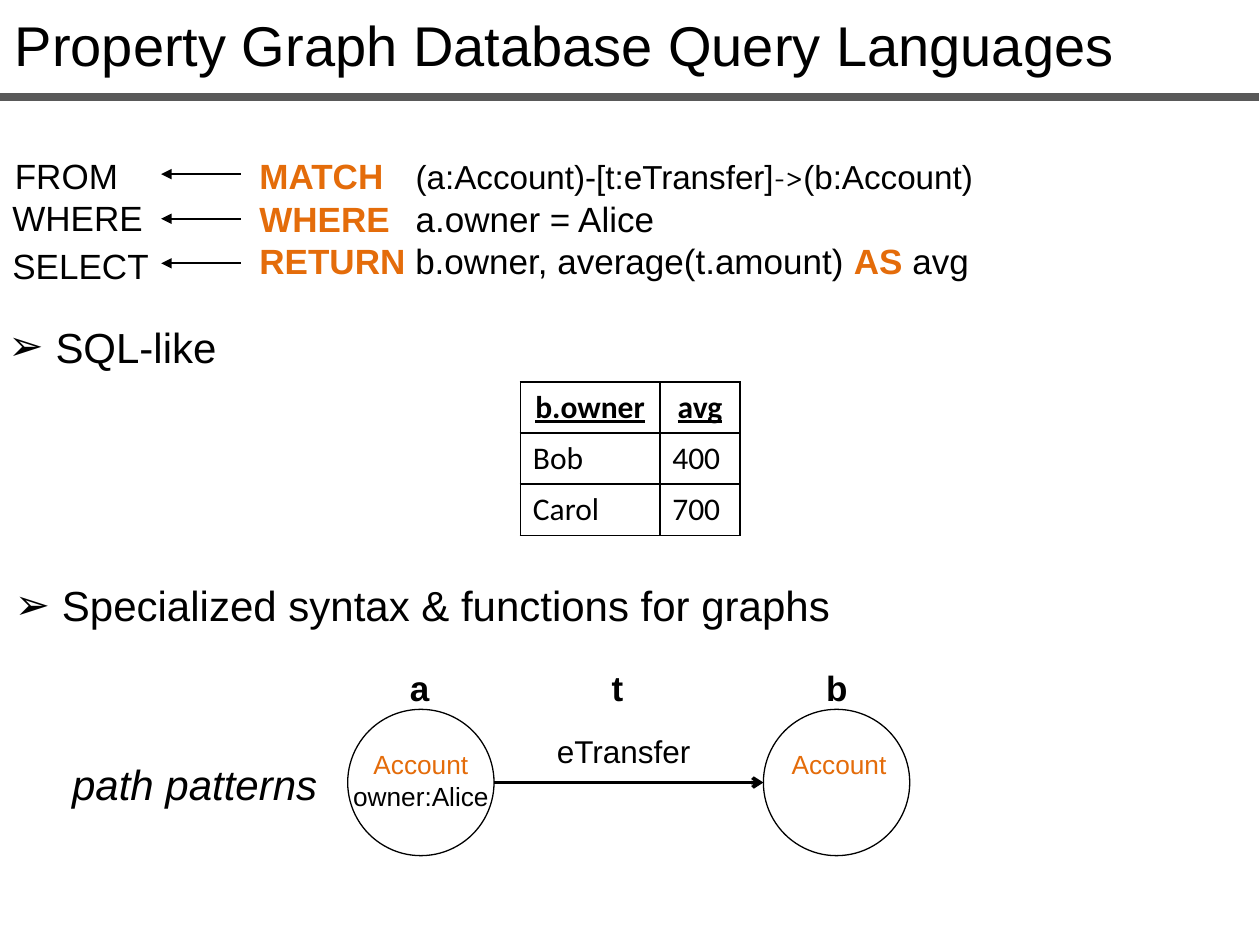
from dataclasses import dataclass
from typing import NamedTuple

from lxml import etree
from pptx import Presentation
from pptx.dml.color import RGBColor
from pptx.enum import shapes, text
from pptx.oxml import ns
from pptx.util import Cm, Pt


@dataclass(frozen=True)
class Theme:
    black: str = "000000"
    white: str = "FFFFFF"
    accent: str = "E46C0A"
    rule: str = "595959"
    font: str = "Arial"
    symbol_font: str = "Cambria"
    table_font: str = "Calibri"
    title: float = 32
    body: float = 24
    code: float = 20
    pattern: float = 19
    small: float = 18
    node: float = 15


THEME = Theme()


class Box(NamedTuple):
    left: float
    top: float
    width: float
    height: float


class Run(NamedTuple):
    words: str
    size: float
    color: str = THEME.black
    bold: bool = False
    italic: bool = False
    underline: bool = False
    font: str = THEME.font


class Label(NamedTuple):
    box: Box
    lines: list[list[Run]]
    centered: bool = False
    bullet: str = ""
    tab: float = 0


class Line(NamedTuple):
    x1: float
    y1: float
    x2: float
    y2: float
    width: float
    color: str = THEME.black
    head: str = ""


def sub(parent, tag: str, **attrs):
    return etree.SubElement(parent, ns.qn(tag), attrs)


def add_runs(p, runs: list[Run]) -> None:
    for run in runs:
        r = p.add_run()
        r.text = run.words
        formats = {"name": run.font, "size": Pt(run.size), "bold": run.bold,
                   "italic": run.italic, "underline": run.underline}
        for name, value in formats.items():
            setattr(r.font, name, value)
        r.font.color.rgb = RGBColor.from_string(run.color)


def add_label(canvas, label: Label) -> None:
    tf = canvas.add_textbox(*map(Cm, label.box)).text_frame
    tf.word_wrap = True
    tf.auto_size = text.MSO_AUTO_SIZE.SHAPE_TO_FIT_TEXT
    for i, runs in enumerate(label.lines):
        p = tf.add_paragraph() if i else tf.paragraphs[0]
        pPr = p._p.get_or_add_pPr()
        if label.bullet:
            pPr.set("marL", str(Cm(0.95)))
            pPr.set("indent", str(-Cm(0.95)))
            sub(pPr, "a:buFont", typeface=THEME.font)
            sub(pPr, "a:buChar", char=label.bullet)
            p.line_spacing = 1.5
        if label.tab:
            sub(sub(pPr, "a:tabLst"), "a:tab", pos=str(Cm(label.tab)), algn="l")
        if label.centered:
            p.alignment = text.PP_ALIGN.CENTER
        add_runs(p, runs)


def add_line(canvas, line: Line) -> None:
    ends = map(Cm, (line.x1, line.y1, line.x2, line.y2))
    c = canvas.add_connector(shapes.MSO_CONNECTOR.STRAIGHT, *ends)
    c.line.width = Pt(line.width)
    c.line.color.rgb = RGBColor.from_string(line.color)
    if line.head:
        sub(c.line._get_or_add_ln(), "a:tailEnd", type=line.head)
    sub(c._element.spPr, "a:effectLst")


def add_circle(canvas, left: float, top: float, size: float) -> None:
    sp = canvas.add_shape(shapes.MSO_SHAPE.OVAL, *map(Cm, (left, top, size, size)))
    sp.shadow.inherit = False
    sp.fill.solid()
    sp.fill.fore_color.rgb = RGBColor.from_string(THEME.white)
    sp.line.color.rgb = RGBColor.from_string(THEME.black)
    sp.line.width = Pt(0.75)


def add_result_table(canvas, rows: list[list[str]], box: Box, widths: list[float]) -> None:
    """Draw a plain bordered table with an underlined header row."""
    table = canvas.add_table(len(rows), len(widths), *map(Cm, box)).table
    table.horz_banding = False
    for col, width in zip(table.columns, widths):
        col.width = Cm(width)
    for i, row in enumerate(rows):
        header = i == 0
        for j, words in enumerate(row):
            cell = table.cell(i, j)
            tcPr = cell._tc.get_or_add_tcPr()
            for side in ("a:lnL", "a:lnR", "a:lnT", "a:lnB"):
                ln = sub(tcPr, side, w=str(Pt(1)))
                sub(sub(ln, "a:solidFill"), "a:srgbClr", val=THEME.black)
            cell.fill.background()
            p = cell.text_frame.paragraphs[0]
            if header:
                p.alignment = text.PP_ALIGN.CENTER
            add_runs(p, [Run(words, THEME.small, bold=header, underline=header,
                             font=THEME.table_font)])


def code(words: str) -> Run:
    return Run(words, THEME.code)


def keyword(words: str) -> Run:
    return Run(words, THEME.code, THEME.accent, bold=True)


def add_graph(canvas) -> None:
    """Draw two account nodes joined by a transfer edge."""
    size, top, a_left, b_left = 2.95, 14.3, 7.01, 15.39
    middle = top + size / 2
    account = [Run("Account", THEME.node, THEME.accent)]
    owner = [Run("owner:Alice", THEME.node)]
    for left in (a_left, b_left):
        add_circle(canvas, left, top, size)
    add_line(canvas, Line(a_left + size, middle, b_left, middle, 2, head="arrow"))
    add_label(canvas, Label(Box(6.68, 14.96, 3.61, 1.55), [account, owner], True))
    add_label(canvas, Label(Box(15.11, 14.96, 3.61, 0.89), [account], True))
    add_label(canvas, Label(Box(10.44, 14.63, 4.27, 1.02),
                            [[Run("eTransfer", THEME.small)]], True))
    for name, left in (("a", 7.01), ("t", 11), ("b", 15.42)):
        add_label(canvas, Label(Box(left, 13.31, 2.9, 1.12),
                                [[Run(name, THEME.code, bold=True)]], True))


def main() -> None:
    prs = Presentation()
    prs.slide_width, prs.slide_height = Cm(25.4), Cm(19.05)
    s = prs.slides.add_slide(prs.slide_layouts[6]).shapes

    add_label(s, Label(Box(0.05, 0.08, 25.25, 1.63),
                       [[Run("Property Graph Database Query Languages", THEME.title)]]))
    add_line(s, Line(-0.03, 1.96, 25.37, 1.96, 4.5, THEME.rule))

    query = [
        [keyword("MATCH\t"), Run("(a:Account)-[t:eTransfer]", THEME.pattern),
         Run("->", THEME.pattern, font=THEME.symbol_font),
         Run("(b:Account)", THEME.pattern)],
        [keyword("WHERE\t"), code("a.owner = Alice")],
        [keyword("RETURN "), code("b.owner, average(t.amount) "),
         keyword("AS"), code(" avg")],
    ]
    add_label(s, Label(Box(4.98, 3, 17.58, 2.82), query, tab=3.15))
    clauses = (("FROM", 0.05, 3), ("WHERE", 0, 3.84), ("SELECT", 0, 4.8))
    for i, (clause, left, top) in enumerate(clauses):
        add_label(s, Label(Box(left, top, 3.43, 1.12), [[code(clause)]]))
        y = 3.51 + 0.9 * i
        add_line(s, Line(4.85, y, 3.25, y, 1, head="triangle"))

    for words, left, top in (("SQL-like", -0.08, 5.84),
                             ("Specialized syntax & functions for graphs", 0.05, 11.05)):
        add_label(s, Label(Box(left, top, 25.37, 1.6),
                           [[Run(words, THEME.body)]], bullet="➢"))

    rows = [["b.owner", "avg"], ["Bob", "400"], ["Carol", "700"]]
    add_result_table(s, rows, Box(10.49, 7.7, 4.43, 3.09), [2.81, 1.62])

    add_label(s, Label(Box(0.99, 15.16, 5.87, 1.27),
                       [[Run("path patterns", THEME.body, italic=True)]], True))
    add_graph(s.add_group_shape().shapes)
    prs.save("out.pptx")


if __name__ == "__main__":
    main()
